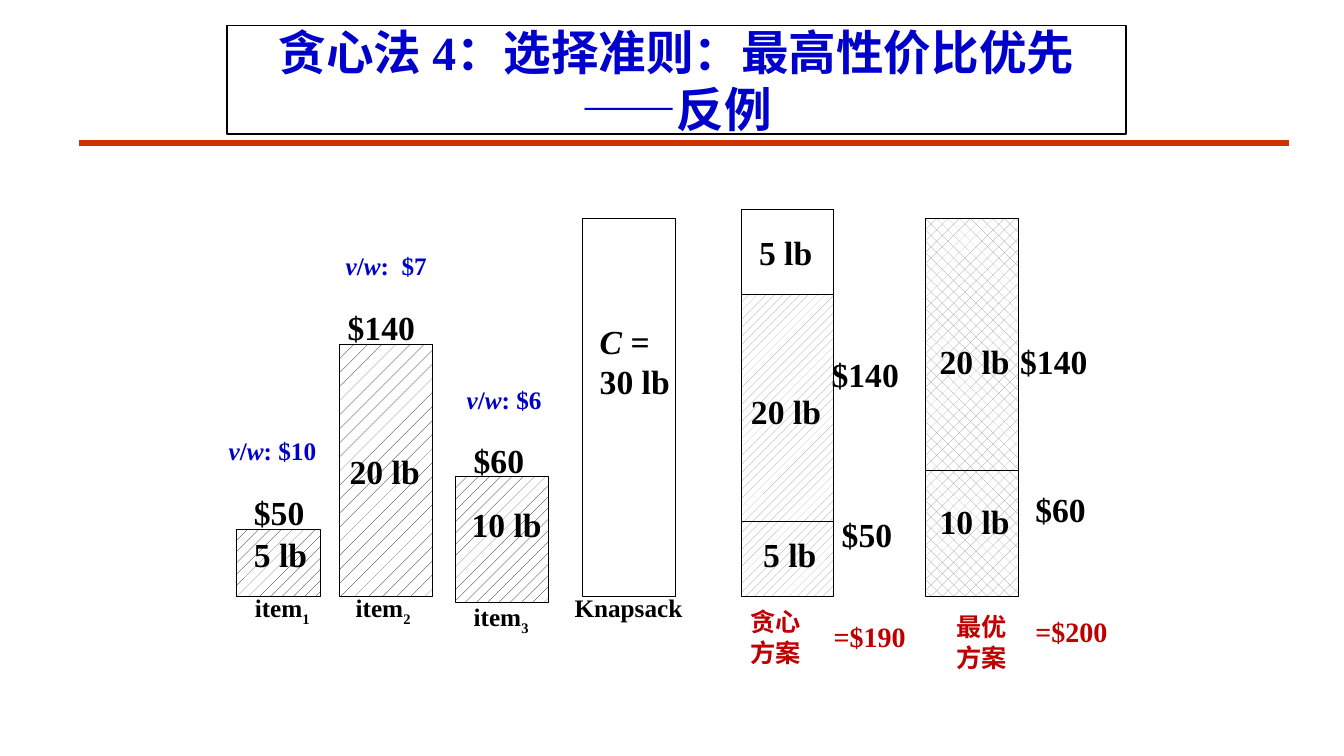
from pptx import Presentation
from pptx.dml.color import RGBColor
from pptx.enum import dml, shapes, text
from pptx.oxml import ns
from pptx.util import Inches, Pt
from lxml import etree

FONT = "Times New Roman"
BLACK = RGBColor(0x00, 0x00, 0x00)
WHITE = RGBColor(0xFF, 0xFF, 0xFF)
GRAY = RGBColor(0x96, 0x96, 0x96)
BLUE = RGBColor(0x00, 0x00, 0xCC)
RED = RGBColor(0xC0, 0x00, 0x00)
ORANGE = RGBColor(0xCC, 0x33, 0x00)
PATTERN = dml.MSO_PATTERN
BAR_W = 0.92
BASE_Y = 5.92
GREEDY_X, BEST_X = 7.35, 9.18
LINE_H = {18: 0.3, 20: 0.34, 24: 0.4}


def style_font(font, size, color):
    font.name = FONT
    font.size = Pt(size)
    font.bold = True
    font.color.rgb = color


def add_title(slide, words):
    sp = slide.shapes.title
    sp.left, sp.top = Inches(2.25), Inches(0.25)
    sp.width, sp.height = Inches(8.92), Inches(1.08)
    sp.line.color.rgb = BLACK
    sp.line.width = Pt(1)
    tf = sp.text_frame
    tf.auto_size = text.MSO_AUTO_SIZE.NONE
    tf.vertical_anchor = text.MSO_ANCHOR.MIDDLE
    tf.text = words
    p = tf.paragraphs[0]
    p.alignment = text.PP_ALIGN.CENTER
    style_font(p.font, 34, BLUE)


def add_line(slide, x1, y1, x2, y2, color=BLACK, width=0.75):
    line = slide.shapes.add_connector(
        shapes.MSO_CONNECTOR.STRAIGHT,
        Inches(x1), Inches(y1), Inches(x2), Inches(y2))
    line.line.color.rgb = color
    line.line.width = Pt(width)
    etree.SubElement(line._element.spPr, ns.qn("a:effectLst"))


def add_bar(slide, x, y, height, pattern=None, ink=BLACK, width=BAR_W):
    sp = slide.shapes.add_shape(
        shapes.MSO_SHAPE.RECTANGLE,
        Inches(x), Inches(y), Inches(width), Inches(height))
    sp.shadow.inherit = False
    sp.line.color.rgb = BLACK
    sp.line.width = Pt(0.75)
    if pattern is None:
        sp.fill.background()
    else:
        sp.fill.patterned()
        sp.fill.pattern = pattern
        sp.fill.fore_color.rgb = ink
        sp.fill.back_color.rgb = WHITE


def add_label(slide, x, y, width, *lines, size=24, color=BLACK):
    """Each line is a string or a list of (words, style) pairs."""
    box = slide.shapes.add_textbox(
        Inches(x), Inches(y), Inches(width),
        Inches(0.1 + LINE_H[size] * len(lines)))
    tf = box.text_frame
    tf.word_wrap = False
    tf.auto_size = text.MSO_AUTO_SIZE.SHAPE_TO_FIT_TEXT
    for i, line in enumerate(lines):
        p = tf.add_paragraph() if i else tf.paragraphs[0]
        style_font(p.font, size, color)
        for words, style in [(line, "")] if isinstance(line, str) else line:
            r = p.add_run()
            r.text = words
            if style == "italic":
                r.font.italic = True
            elif style == "sub":
                r.font._element.set("baseline", "-25000")


def add_ratio(slide, x, y, width, value):
    add_label(slide, x, y, width,
              [("v", "italic"), ("/", ""), ("w", "italic"), (value, "")],
              size=18, color=BLUE)


def add_item_name(slide, x, y, number):
    add_label(slide, x, y, 0.76, [("item", ""), (number, "sub")], size=18)


def main():
    prs = Presentation()
    prs.slide_width, prs.slide_height = Inches(13.33), Inches(7.5)
    slide = prs.slides.add_slide(prs.slide_layouts[5])

    # Title and rule
    add_line(slide, 0.78, 1.42, 12.78, 1.42, ORANGE, 4.5)
    add_title(slide, "贪心法 4：选择准则：最高性价比优先\v——反例")

    # Items
    add_bar(slide, 2.35, 5.25, 0.67, PATTERN.PERCENT_10, width=0.83)
    add_bar(slide, 3.37, 3.42, 2.5, PATTERN.PERCENT_5)
    add_bar(slide, 4.52, 4.73, 1.25, PATTERN.PERCENT_10)
    add_ratio(slide, 2.17, 4.27, 1.09, ": $10")
    add_ratio(slide, 3.33, 2.43, 1.03, ":  $7")
    add_ratio(slide, 4.53, 3.76, 0.97, ": $6")
    add_item_name(slide, 2.43, 5.83, "1")
    add_item_name(slide, 3.43, 5.83, "2")
    add_item_name(slide, 4.6, 5.92, "3")

    # Knapsack
    add_bar(slide, 5.78, 2.17, 3.75)
    add_label(slide, 5.85, 3.13, 0.9, [("C ", "italic"), ("=", "")], "30 lb")
    add_label(slide, 5.6, 5.83, 1.28, "Knapsack", size=18)

    # Greedy packing, with its unused space left open on top
    right = GREEDY_X + BAR_W
    add_bar(slide, GREEDY_X, 2.92, BASE_Y - 2.92, PATTERN.PERCENT_20, GRAY)
    for y in (5.17, 2.08):
        add_line(slide, GREEDY_X, y, right, y)
    for x in (GREEDY_X, right):
        add_line(slide, x, 2.92, x, 2.08)

    # Optimal packing
    add_bar(slide, BEST_X, 2.17, BASE_Y - 2.17, PATTERN.PERCENT_25, GRAY)
    add_line(slide, BEST_X, 4.67, BEST_X + BAR_W, 4.67)

    # Weights and values
    for x, y, width, words in (
            (2.42, 5.25, 0.73, "5 lb"), (2.42, 4.83, 0.7, "$50"),
            (3.37, 4.42, 0.9, "20 lb"), (3.35, 3, 0.87, "$140"),
            (4.58, 4.95, 0.9, "10 lb"), (4.6, 4.32, 0.7, "$60"),
            (7.43, 2.25, 0.73, "5 lb"), (7.35, 3.83, 0.9, "20 lb"),
            (7.47, 5.25, 0.73, "5 lb"), (8.15, 3.46, 0.87, "$140"),
            (8.25, 5.05, 0.7, "$50"), (9.22, 3.33, 0.9, "20 lb"),
            (9.22, 4.92, 0.9, "10 lb"), (10.02, 3.33, 0.87, "$140"),
            (10.17, 4.8, 0.7, "$60")):
        add_label(slide, x, y, width, words)

    # Names and totals of the two packings
    add_label(slide, 7.34, 5.97, 0.71, "贪心", "方案", size=18, color=RED)
    add_label(slide, 9.39, 6.02, 0.71, "最优", "方案", size=18, color=RED)
    add_label(slide, 8.17, 6.1, 0.92, "=$190", size=20, color=RED)
    add_label(slide, 10.17, 6.05, 0.92, "=$200", size=20, color=RED)

    prs.save("out.pptx")


if __name__ == "__main__":
    main()
